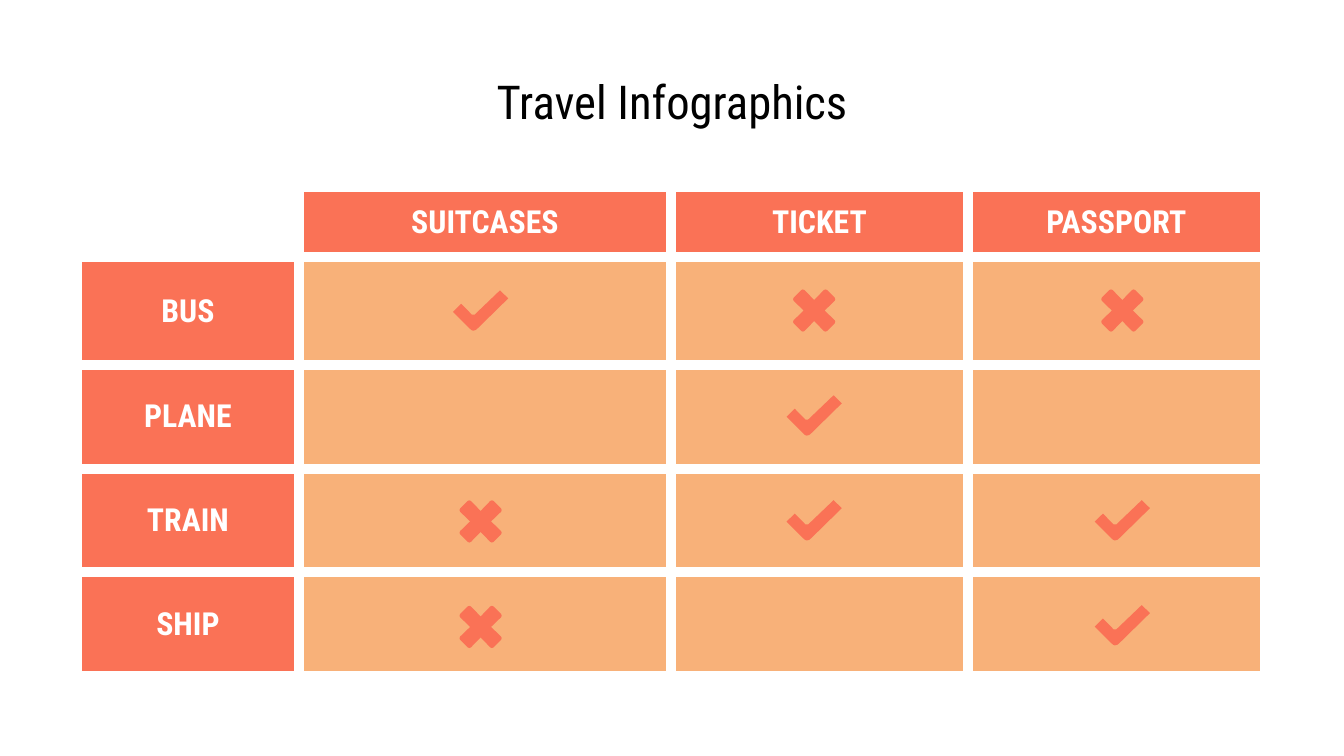
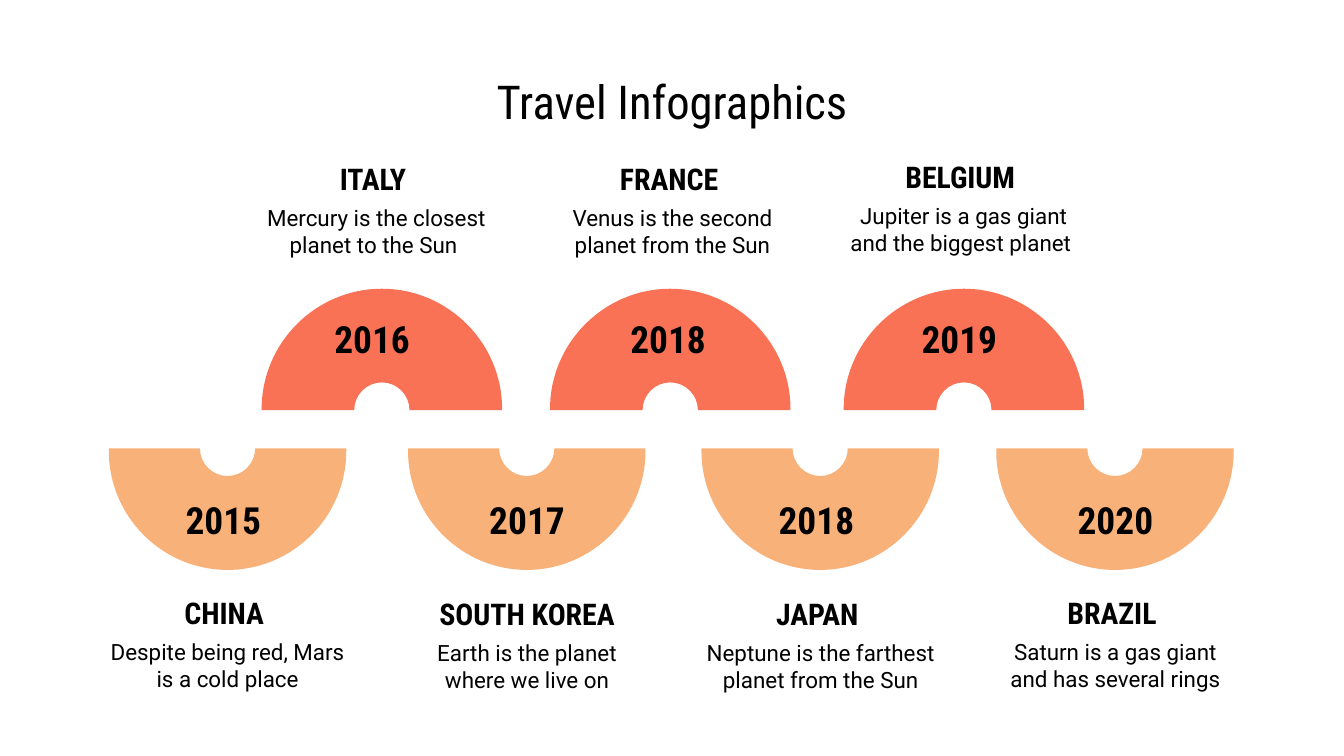
from lxml.etree import SubElement
from pptx import Presentation
from pptx.dml.color import RGBColor
from pptx.enum.text import MSO_ANCHOR, PP_ALIGN
from pptx.oxml.ns import qn
from pptx.util import Pt

TITLE = "Travel Infographics"
CORAL, SAND, BLACK, WHITE = "FA7256", "F8B179", "000000", "FFFFFF"
HEAD, BODY = "Roboto Condensed", "Roboto"
PAD = 7.2

# Table: headings, then the mark in each cell
ITEMS = ["SUITCASES", "TICKET", "PASSPORT"]
TRIPS = [
    ("BUS", ["check", "cross", "cross"]),
    ("PLANE", [None, "check", None]),
    ("TRAIN", ["cross", "check", "check"]),
    ("SHIP", ["cross", None, "check"]),
]
COLS = [118.8, 199.4, 159.1, 159.1]
ROWS = [37.6, 57.6, 55.6, 55.6, 55.6]
MARK_X = [257.5, 436.2, 601.3]
MARK_Y = 166.4
PITCH = {"check": 56.2, "cross": 56.5}

# Outlines are lists of steps: one point is a line, three points are a curve.
# Marks are drawn around their centre; the cross is one arm turned four times.
CHECK = [
    [(10.4, -10.8)], [(-3.2, 2.2)],
    [(-3.6, 2.5), (-4.3, 2.5), (-4.7, 2.2)],
    [(-10.4, -3.6)], [(-14.8, 0.7)], [(-6.1, 9.4)],
    [(-5.2, 10.3), (-4.6, 10.8), (-4, 10.8)],
    [(-3, 10.8), (-2.2, 10.3), (-1.4, 9.4)],
    [(14.8, -6.5)],
]
ARM = [
    [(0, -5.6)], [(5.2, -11)],
    [(5.6, -11.4), (6.5, -11.4), (6.9, -11)],
    [(11, -6.9)],
    [(11.4, -6.5), (11.4, -5.6), (11, -5.2)],
]

# Timeline: arch centre, text centre, text shift, year, country, note
UPPER = [
    (204.6, 201.7, 0, "2016 ", "ITALY ",
     "Mercury is the closest planet to the Sun "),
    (359.1, 360.3, 0, "2018 ", "FRANCE ",
     "Venus is the second planet from the Sun"),
    (516.4, 516.3, -1.4, "2019 ", "BELGIUM ",
     "Jupiter is a gas giant and the biggest planet "),
]
LOWER = [
    (121.9, 122, 0, "2015 ", "CHINA ",
     "Despite being red, Mars is a cold place"),
    (282.2, 282.4, 0.6, "2017", "SOUTH KOREA",
     "Earth is the planet where we live on"),
    (439.4, 439.7, 0.6, "2018 ", "JAPAN ",
     "Neptune is the farthest planet from the Sun"),
    (597.3, 597.6, 0, "2020", "BRAZIL ",
     "Saturn is a gas giant and has several rings"),
]
# up is 1 for arches that open downwards, -1 for the others
BANDS = [
    dict(items=UPPER, color=CORAL, up=1, base=219.7, outer=64.4, lip=0.6,
         year=157.8, name=78.5, note=102.4),
    dict(items=LOWER, color=SAND, up=-1, base=240.2, outer=63.6, lip=1.5,
         year=254.6, name=311, note=334.6),
]
INNER = 14.8
BEND = 0.55  # how far the handles of a quarter circle reach


def rgb(code):
    return RGBColor.from_string(code)


def write(frame, text, size, font, color=BLACK, bold=False):
    para = frame.paragraphs[0]
    para.alignment = PP_ALIGN.CENTER
    run = para.add_run()
    run.text = text
    run.font.size = Pt(size)
    run.font.name = font
    run.font.bold = bold
    run.font.color.rgb = rgb(color)


def inset(frame, anchor):
    frame.word_wrap = True
    frame.vertical_anchor = anchor
    frame.margin_left = frame.margin_right = Pt(PAD)
    frame.margin_top = frame.margin_bottom = Pt(PAD)


def label(slide, mid, top, wide, high, text, size, font=HEAD, bold=True,
          anchor=MSO_ANCHOR.MIDDLE):
    """Add a text box centred on mid."""
    box = slide.shapes.add_textbox(Pt(mid - wide / 2), Pt(top), Pt(wide), Pt(high))
    inset(box.text_frame, anchor)
    write(box.text_frame, text, size, font, bold=bold)


def outline(slide, steps, mid, top, color):
    """Draw steps around the point (mid, top)."""
    dots = [(Pt(mid + x), Pt(top + y)) for step in steps for x, y in step]
    pen = slide.shapes.build_freeform(*dots[0])
    pen.add_line_segments(dots[1:], close=True)
    shape = pen.convert_to_shape()
    shape.shadow.inherit = False
    shape.fill.solid()
    shape.fill.fore_color.rgb = rgb(color)
    shape.line.fill.background()
    bend(shape, steps)


def bend(shape, steps):
    """Join the lines of each three-point step into one curve."""
    lines = iter(list(shape._element.iter(qn("a:lnTo"))))
    for step in steps[1:]:
        first, *rest = [next(lines) for _ in step]
        if rest:
            first.tag = qn("a:cubicBezTo")
        for line in rest:
            first.append(line[0])
            line.getparent().remove(line)


def new_slide(deck):
    slide = deck.slides.add_slide(deck.slide_layouts[5])
    title = slide.shapes.title
    title.left, title.top, title.width, title.height = Pt(36), Pt(35.3), Pt(648), Pt(41)
    inset(title.text_frame, MSO_ANCHOR.BOTTOM)
    write(title.text_frame, TITLE, 25, HEAD)
    return slide


def edge(cell):
    """Give the cell thick white borders, placed before its fill."""
    props = cell._tc.get_or_add_tcPr()
    for spot, tag in enumerate(["a:lnL", "a:lnR", "a:lnT", "a:lnB"]):
        line = SubElement(props, qn(tag), w=str(Pt(6)))
        fill = SubElement(line, qn("a:solidFill"))
        SubElement(fill, qn("a:srgbClr"), val=WHITE)
        props.insert(spot, line)


def paint(cell, text, color):
    cell.margin_left = cell.margin_right = Pt(PAD)
    cell.margin_top = cell.margin_bottom = Pt(PAD)
    cell.vertical_anchor = MSO_ANCHOR.MIDDLE
    if color:
        cell.fill.solid()
        cell.fill.fore_color.rgb = rgb(color)
    else:
        cell.fill.background()
    if text:
        write(cell.text_frame, text, 17, HEAD, WHITE, True)
    edge(cell)


def add_grid(slide):
    table = slide.shapes.add_table(
        len(ROWS), len(COLS), Pt(41.3), Pt(100.3), Pt(sum(COLS)), Pt(sum(ROWS))).table
    table.first_row = table.horz_banding = False
    for col, wide in zip(table.columns, COLS):
        col.width = Pt(wide)
    for row, high in zip(table.rows, ROWS):
        row.height = Pt(high)
    texts = [[""] + ITEMS] + [[name] + [""] * len(ITEMS) for name, _ in TRIPS]
    for r, line in enumerate(texts):
        for c, text in enumerate(line):
            color = CORAL if text else SAND if r else None
            paint(table.cell(r, c), text, color)


def add_marks(slide):
    cross, arm = [], ARM
    for _ in range(4):
        cross += arm
        arm = [[(-y, x) for x, y in step] for step in arm]
    forms = {"check": CHECK, "cross": cross}
    for row, (_, marks) in enumerate(TRIPS):
        for mid, mark in zip(MARK_X, marks):
            if mark:
                outline(slide, forms[mark], mid, MARK_Y + row * PITCH[mark], CORAL)


def half(rad, lift=0):
    """Return the two curves of a half circle, from left to right."""
    arm = rad * BEND
    peak = -rad - lift
    return [[(-rad, -arm - lift), (-arm, peak), (0, peak)],
            [(arm, peak), (rad, -arm - lift), (rad, -lift)]]


def arch(outer, lip, up):
    """Return the outline of a half ring that stands on a thin lip."""
    hole = [[(-x, y) for x, y in step] for step in half(INNER)]
    steps = [[(-outer, 0)], [(-outer, -lip)], *half(outer, lip),
             [(outer, 0)], [(INNER, 0)], *hole]
    return [[(x, y * up) for x, y in step] for step in steps]


def add_band(slide, band):
    ring = arch(band["outer"], band["lip"], band["up"])
    for mid, *_ in band["items"]:
        outline(slide, ring, mid, band["base"], band["color"])
    for _, mid, shift, year, name, note in band["items"]:
        label(slide, mid, band["note"] + shift, 141, 43.6, note, 12, BODY, False,
              MSO_ANCHOR.TOP)
        label(slide, mid, band["year"], 127, 47.5, year, 20)
        label(slide, mid, band["name"] + shift, 141, 34.6, name, 16)


def main():
    deck = Presentation()
    deck.slide_width, deck.slide_height = Pt(720), Pt(405)
    needs = new_slide(deck)
    add_grid(needs)
    add_marks(needs)
    years = new_slide(deck)
    for band in BANDS:
        add_band(years, band)
    deck.save("out.pptx")


if __name__ == "__main__":
    main()
